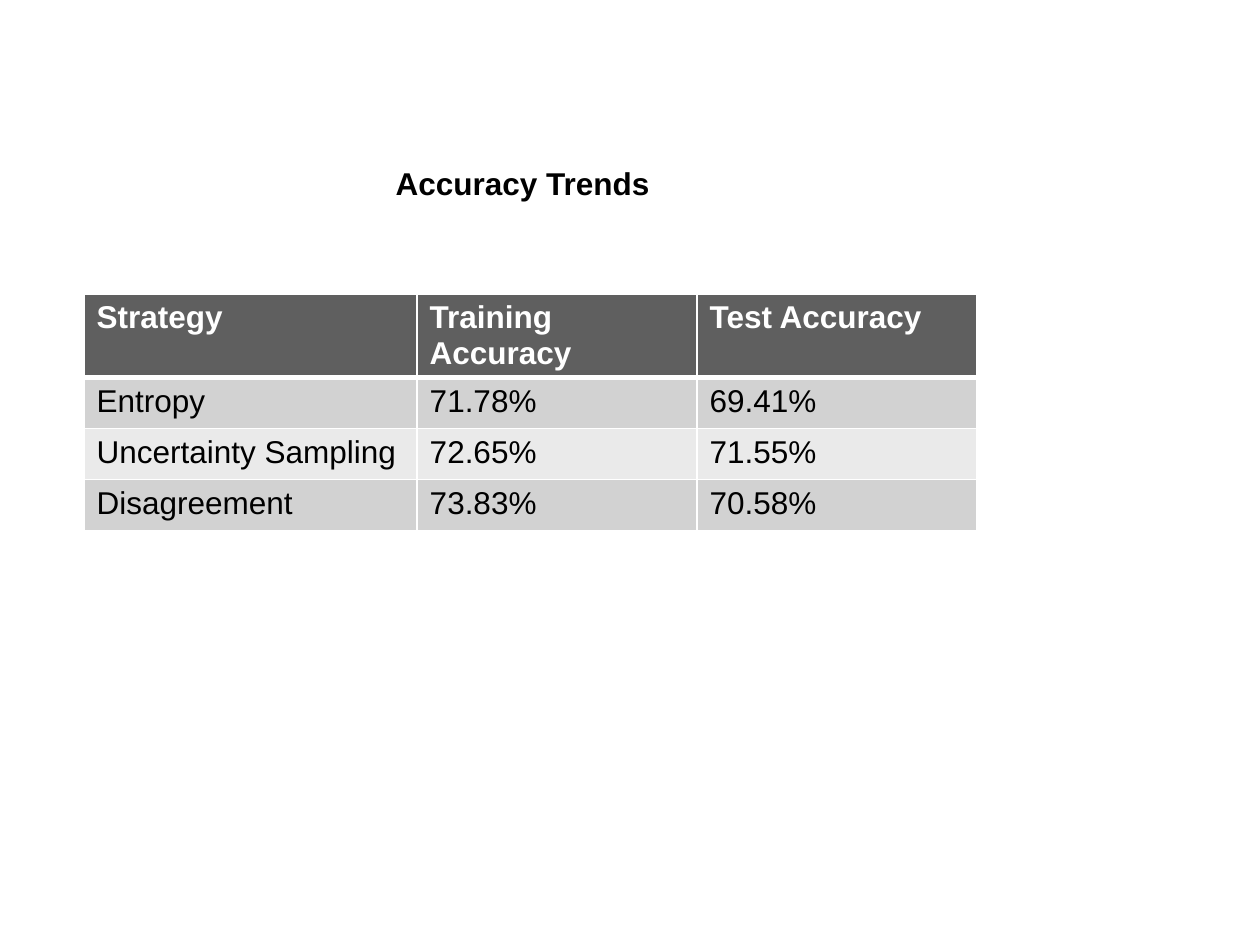
from dataclasses import dataclass

from lxml.etree import SubElement as Sub
from pptx import Presentation
from pptx.dml.color import RGBColor as RGB
from pptx.oxml.ns import qn
from pptx.util import Pt


@dataclass(frozen=True)
class Theme:
    font: str = "Arial"
    size: int = 18
    ink: str = "000000"
    white: str = "FFFFFF"
    head: str = "5F5F5F"
    bands: tuple = ("D2D2D2", "EAEAEA")
    thin: int = 1
    thick: int = 3


THEME = Theme()
ROWS = (
    ("Strategy", "Training Accuracy", "Test Accuracy"),
    ("Entropy", "71.78%", "69.41%"),
    ("Uncertainty Sampling", "72.65%", "71.55%"),
    ("Disagreement", "73.83%", "70.58%"),
)
WIDTHS = (190.4, 160, 160)
HEIGHT = 29.2


def write(frame, text, color, bold):
    frame.text = text
    for run in frame.paragraphs[0].runs:
        font = run.font
        font.name, font.size, font.bold = THEME.font, Pt(THEME.size), bold
        font.color.rgb = RGB.from_string(color)


def add_edges(cell, top, base):
    """Draw the four cell borders; they must come before the cell fill."""
    props = cell._tc.get_or_add_tcPr()
    sides = {"L": THEME.thin, "R": THEME.thin, "T": top, "B": base}
    for side, width in sides.items():
        line = Sub(props, qn(f"a:ln{side}"), w=str(Pt(width)))
        fill = Sub(line, qn("a:solidFill"))
        Sub(fill, qn("a:srgbClr"), val=THEME.white)


def add_title(slide, text, left, top, width, height):
    box = slide.shapes.add_textbox(Pt(left), Pt(top), Pt(width), Pt(height))
    box.text_frame.word_wrap = True
    write(box.text_frame, text, THEME.ink, True)


def add_grid(slide, rows, left, top):
    table = slide.shapes.add_table(
        len(rows), len(WIDTHS), Pt(left), Pt(top),
        Pt(sum(WIDTHS)), Pt(HEIGHT * len(rows))).table
    for col, width in zip(table.columns, WIDTHS):
        col.width = Pt(width)
    for i, row in enumerate(rows):
        table.rows[i].height = Pt(HEIGHT)
        head = i == 0
        shade = THEME.head if head else THEME.bands[(i - 1) % 2]
        for j, text in enumerate(row):
            cell = table.cell(i, j)
            add_edges(cell, THEME.thick if i == 1 else THEME.thin,
                      THEME.thick if head else THEME.thin)
            cell.fill.solid()
            cell.fill.fore_color.rgb = RGB.from_string(shade)
            write(cell.text_frame, text,
                  THEME.white if head else THEME.ink, head)


def main():
    deck = Presentation()
    deck.slide_width, deck.slide_height = Pt(720), Pt(540)
    slide = deck.slides.add_slide(deck.slide_layouts[6])
    add_grid(slide, ROWS, 48, 168)
    add_title(slide, "Accuracy Trends", 219, 90, 168, 29)
    deck.save("out.pptx")


if __name__ == "__main__":
    main()
